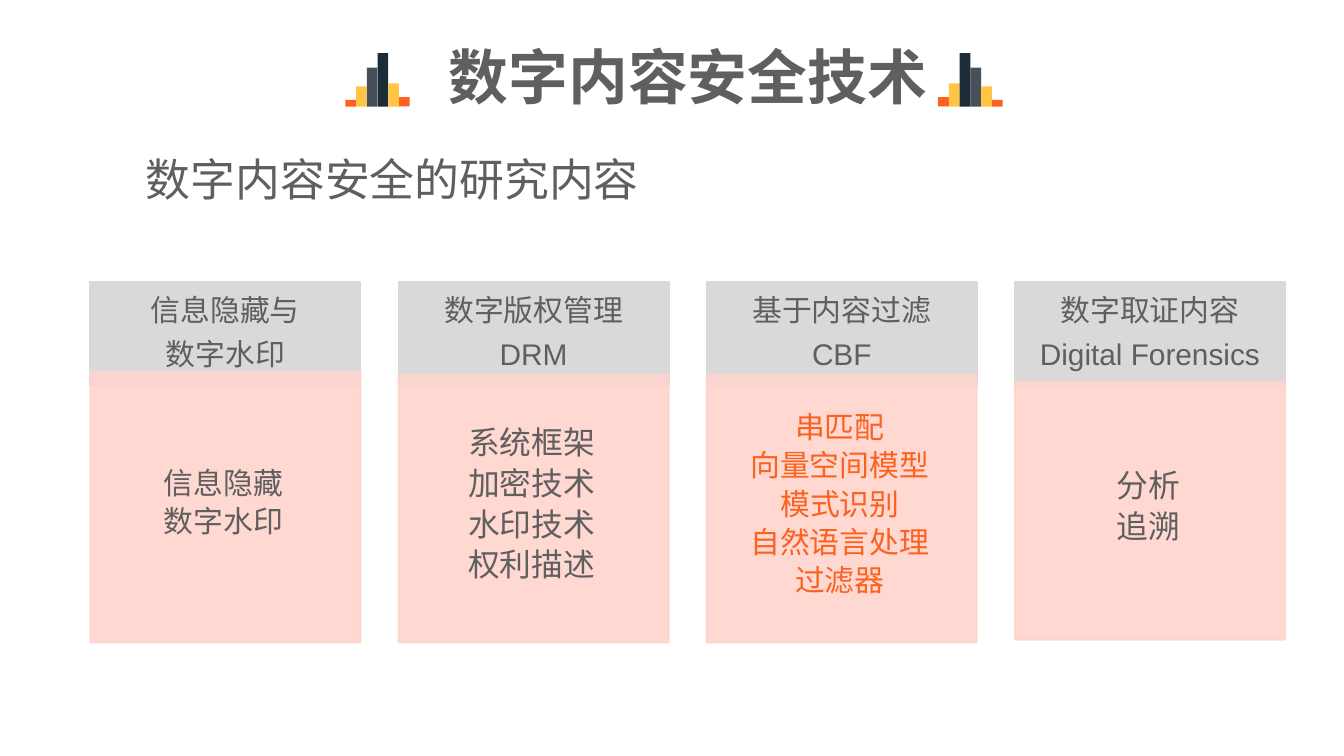
from lxml import etree
from pptx import Presentation
from pptx.dml.color import RGBColor
from pptx.enum.shapes import MSO_SHAPE
from pptx.enum.text import MSO_ANCHOR, MSO_AUTO_SIZE, PP_ALIGN
from pptx.oxml.ns import qn
from pptx.util import Pt

RECT = MSO_SHAPE.RECTANGLE
MIDDLE, TOP = MSO_ANCHOR.MIDDLE, MSO_ANCHOR.TOP
LEFT, CENTER = PP_ALIGN.LEFT, PP_ALIGN.CENTER
NO_FIT = MSO_AUTO_SIZE.NONE

COLORS = {
    "text": "5F5F5F", "orange": "FC611F", "yellow": "FFC543",
    "slate": "464F5A", "navy": "1C2B38", "grey": "D9D9D9", "pink": "FED4CD",
}
CJK, LATIN = "Noto Sans CJK SC", "Arial"

# Bars of the title icon: colour and height
BARS = [("orange", 3.6), ("yellow", 10.8), ("slate", 20.9),
        ("navy", 28.6), ("yellow", 12.4), ("orange", 5)]

# Cards: heading lines, body lines, body size, body colour, body top, body height
CARDS = [
    (["信息隐藏与", "数字水印"], ["信息隐藏", "数字水印"],
     16, "text", 48.2, 144.8),
    (["数字版权管理", "DRM"], ["系统框架", "加密技术", "水印技术", "权利描述"],
     17, "text", 49.7, 143.3),
    (["基于内容过滤", "CBF"],
     ["串匹配", "向量空间模型", "模式识别", "自然语言处理", "过滤器"],
     16, "orange", 49.7, 143.3),
    (["数字取证内容", "Digital Forensics"], ["分析", "追溯"],
     17, "text", 53.3, 138.2),
]


def rgb(name):
    return RGBColor.from_string(COLORS[name])


def write(sp, lines, size=16, font=LATIN, color="text", bold=False, align=LEFT,
          anchor=MIDDLE, spacing=None, after=0, hang=0, margins=(7.2, 3.6, 7.2, 3.6)):
    """Fill a shape with one paragraph per line."""
    tf = sp.text_frame
    tf.word_wrap, tf.auto_size, tf.vertical_anchor = True, NO_FIT, anchor
    tf.margin_left, tf.margin_top, tf.margin_right, tf.margin_bottom = map(Pt, margins)
    for i, line in enumerate(lines):
        p = tf.paragraphs[0] if i == 0 else tf.add_paragraph()
        p.alignment, p.line_spacing = align, spacing
        p.space_before, p.space_after = Pt(0), Pt(after)
        if hang:
            p.level = 1
            pPr = p._p.get_or_add_pPr()
            pPr.set("marL", str(Pt(hang)))
            pPr.set("indent", str(-Pt(hang)))
        r = p.add_run()
        r.text = line
        r.font.size, r.font.bold, r.font.name = Pt(size), bold, font
        r.font.color.rgb = rgb(color)
        etree.SubElement(r._r.get_or_add_rPr(), qn("a:ea"), typeface=font)


def add_rect(slide, x, y, w, h, color, outline=False, opacity=None):
    sp = slide.shapes.add_shape(RECT, Pt(x), Pt(y), Pt(w), Pt(h))
    sp.shadow.inherit = False
    sp.fill.solid()
    sp.fill.fore_color.rgb = rgb(color)
    if outline:
        sp.line.color.rgb = rgb(color)
        sp.line.width = Pt(1)
    else:
        sp.line.fill.background()
    if opacity:
        for clr in sp._element.spPr.iter(qn("a:srgbClr")):
            etree.SubElement(clr, qn("a:alpha"), val=str(opacity * 1000))
    return sp


def add_title(slide, x, y, w, h):
    sp = slide.shapes.title
    sp.left, sp.top, sp.width, sp.height = Pt(x), Pt(y), Pt(w), Pt(h)
    write(sp, ["数字内容安全技术"], size=32, font=CJK, bold=True, spacing=0.6)


def add_icon(slide, x, y, w, h, mirrored=False):
    step = w / len(BARS)
    bars = BARS[::-1] if mirrored else BARS
    for i, (color, height) in enumerate(bars):
        add_rect(slide, x + i * step, y + h - height, step, height, color)


def add_subtitle(slide, x, y, w, h):
    sp = slide.shapes.add_textbox(Pt(x), Pt(y), Pt(w), Pt(h))
    write(sp, ["数字内容安全的研究内容"], size=24, font=CJK, anchor=TOP,
          margins=(12.6, 3.6, 0, 3.6))


def add_card(slide, x, y, w, card):
    heading, items, size, color, body_top, body_height = card
    head = add_rect(slide, x, y, w, 55.4, "grey", outline=True)
    write(head, heading, align=CENTER, spacing=0.9, after=6.4,
          margins=(8.6, 5, 8.6, 5))
    body = add_rect(slide, x, y + body_top, w, body_height, "pink",
                    outline=True, opacity=90)
    write(body, items, size=size, color=color, align=CENTER, spacing=0.9,
          after=size * 0.2, hang=13.7, margins=(6.5, 6.5, 8.6, 10))


def main():
    prs = Presentation()
    prs.slide_width, prs.slide_height = Pt(720), Pt(405)
    slide = prs.slides.add_slide(prs.slide_layouts[5])

    # Title between two mirrored icons
    add_title(slide, 233.3, 17.3, 274.3, 58.3)
    add_icon(slide, 185, 28.5, 34.5, 28.6)
    add_icon(slide, 502.6, 28.5, 34.5, 28.6, mirrored=True)

    add_subtitle(slide, 65.5, 77.8, 300, 36)

    # Row of cards
    for i, card in enumerate(CARDS):
        add_card(slide, 48.4 + i * 165.1, 151.2, 144.7, card)

    prs.save("out.pptx")


if __name__ == "__main__":
    main()
